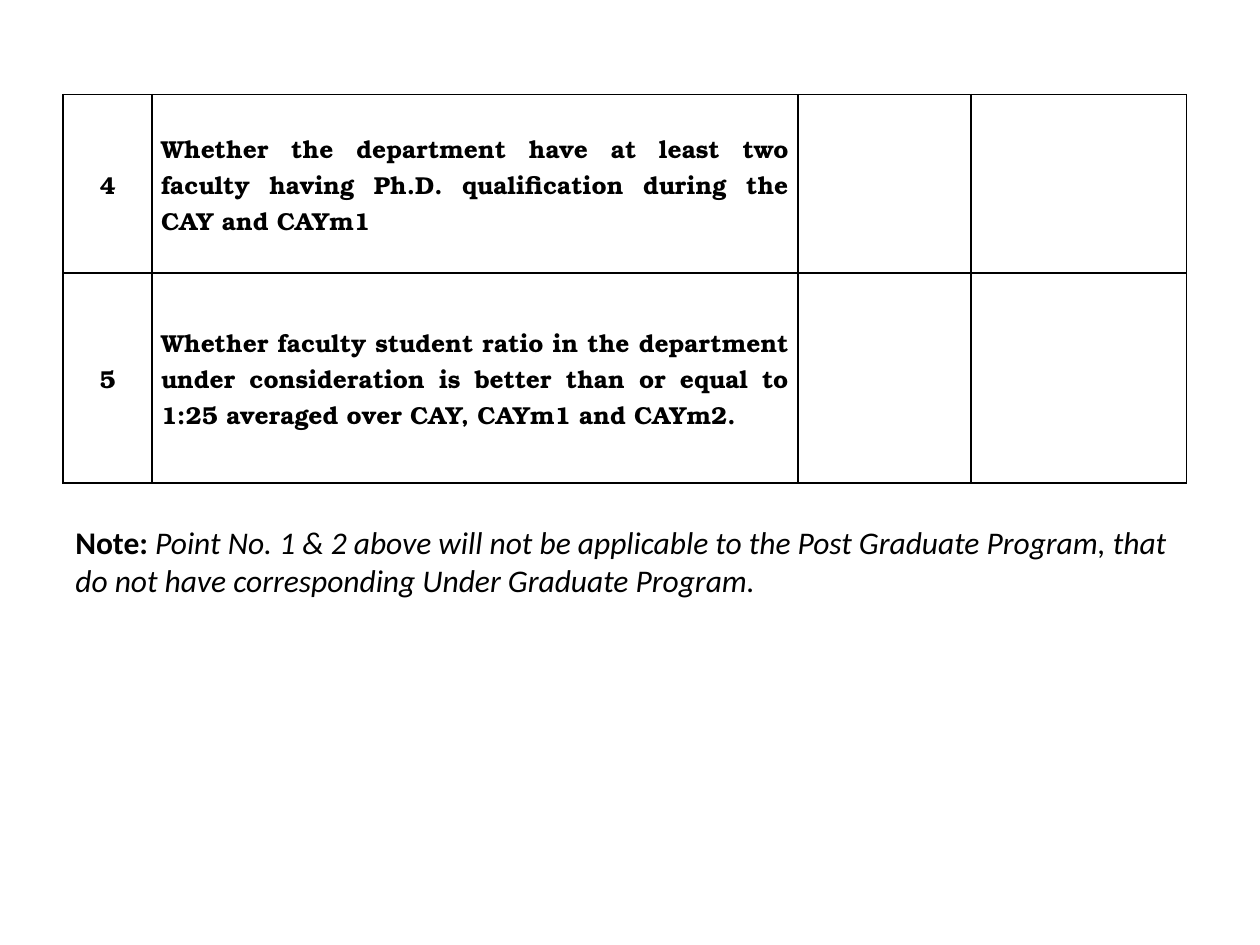
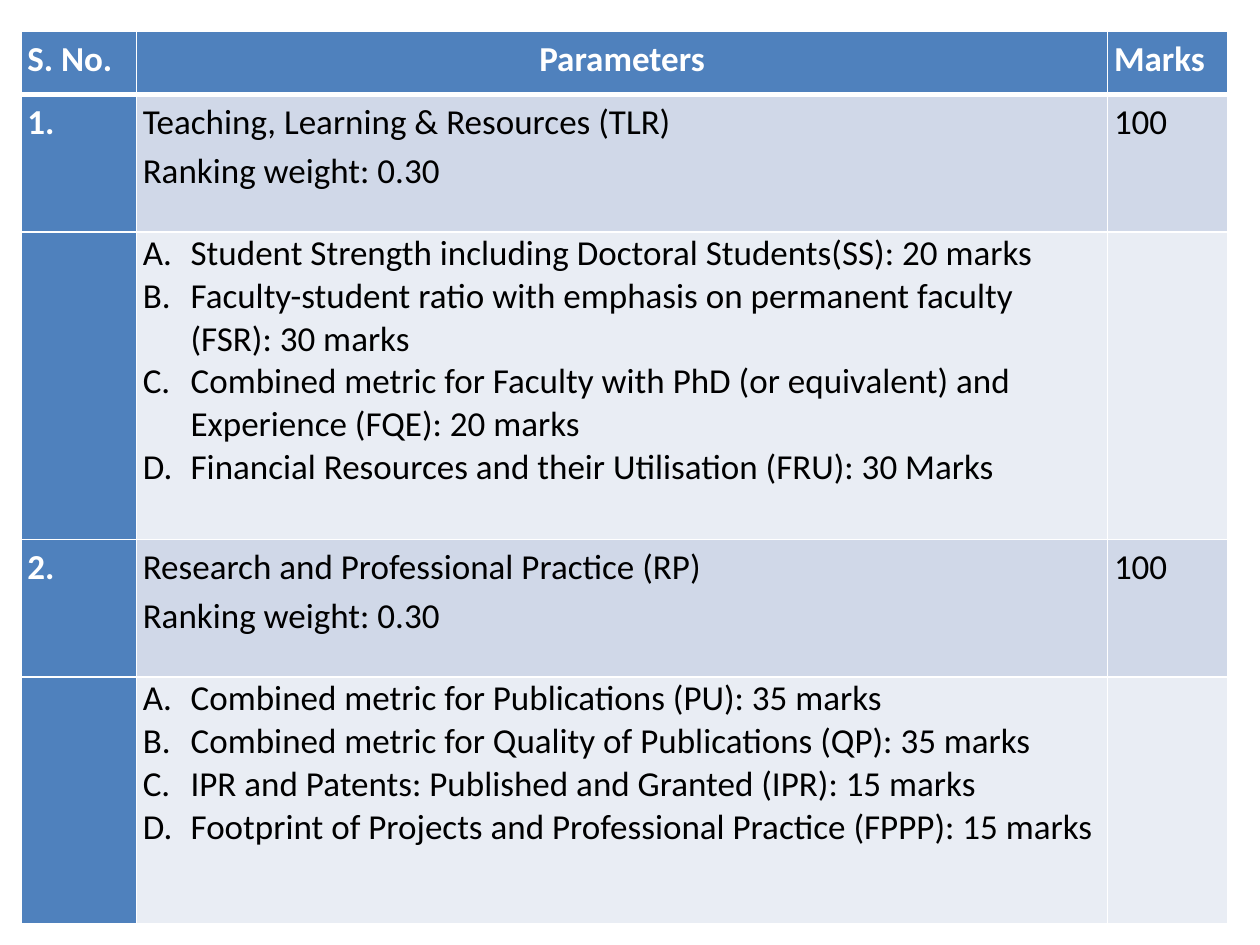
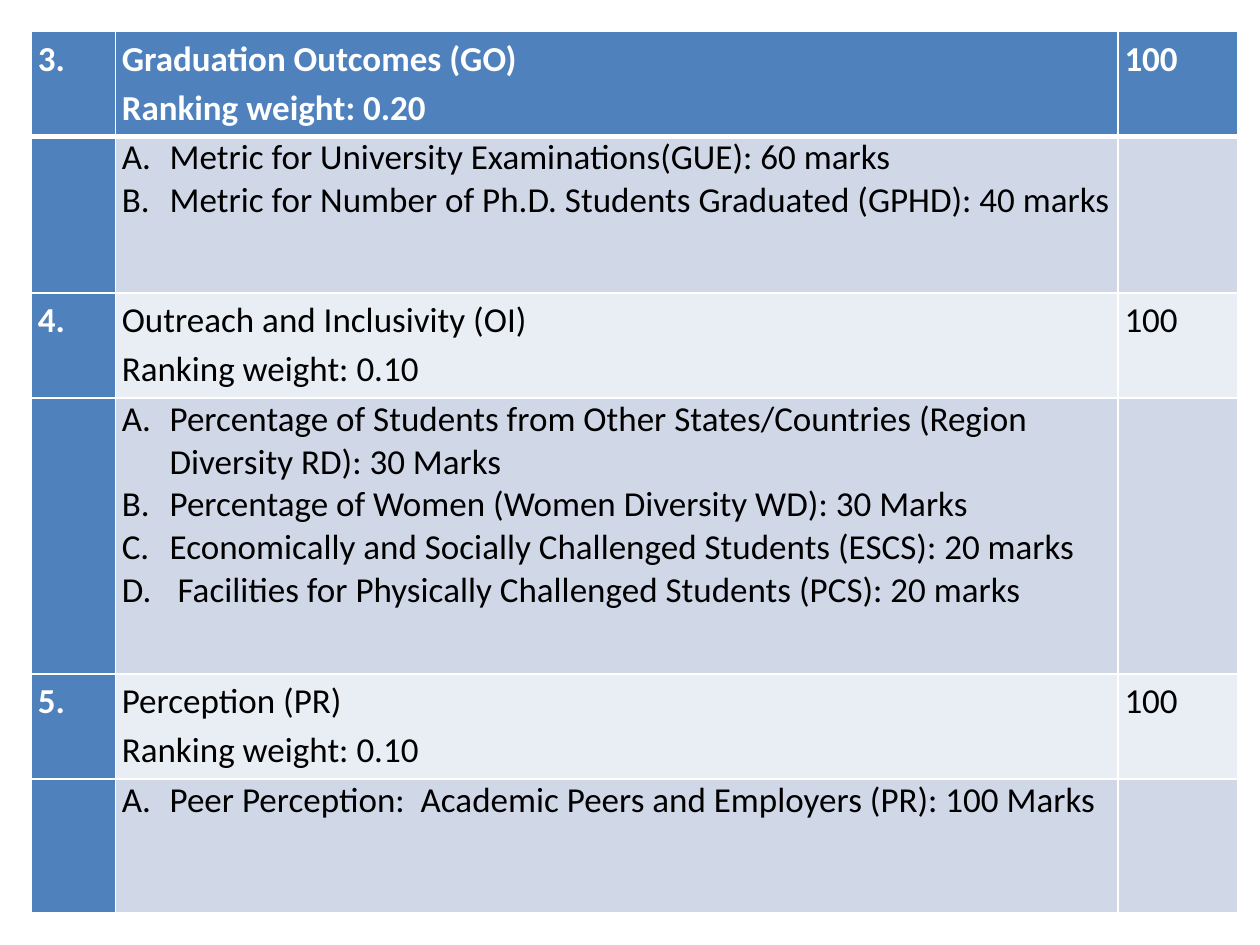
from pptx import Presentation
from pptx.dml.color import RGBColor as Rgb
from pptx.enum.text import MSO_ANCHOR as Anchor, PP_ALIGN as Align
from pptx.oxml.ns import qn
from pptx.util import Inches, Pt
from lxml.etree import SubElement as Sub

INK = {"text": "000000", "white": "FFFFFF", "head": "4F81BD",
       "odd": "D0D8E8", "even": "E9EDF4"}
SANS, SERIF = "Calibri", "TeX Gyre Bonum"
WIDE, HIGH = Inches(10), Inches(7.5)
COL, ROW = WIDE / 120, HIGH / 90

CHECKS = [
    ("4", "Whether the department have at least two faculty having Ph.D. "
          "qualification during the CAY and CAYm1"),
    ("5", "Whether faculty student ratio in the department under consideration "
          "is better than or equal to 1:25 averaged over CAY, CAYm1 and CAYm2."),
]
NOTE = ("Point No. 1 & 2 above will not be applicable to the Post Graduate "
        "Program, that do not have corresponding Under Graduate Program.")

FIRST = [
    ("S. No.", ["Parameters"], "Marks"),
    ("1.", ["Teaching, Learning & Resources (TLR)", "Ranking weight: 0.30"], "100"),
    ("", ["Student Strength including Doctoral Students(SS): 20 marks",
          "Faculty-student ratio with emphasis on permanent faculty (FSR): 30 marks",
          "Combined metric for Faculty with PhD (or equivalent) and Experience "
          "(FQE): 20 marks",
          "Financial Resources and their Utilisation (FRU): 30 Marks"], ""),
    ("2.", ["Research and Professional Practice (RP)", "Ranking weight: 0.30"], "100"),
    ("", ["Combined metric for Publications (PU): 35 marks",
          "Combined metric for Quality of Publications (QP): 35 marks",
          "IPR and Patents: Published and Granted (IPR): 15 marks",
          "Footprint of Projects and Professional Practice (FPPP): 15 marks"], ""),
]
SECOND = [
    ("3.", ["Graduation Outcomes (GO)", "Ranking weight: 0.20"], "100"),
    ("", ["Metric for University Examinations(GUE): 60 marks",
          "Metric for Number of Ph.D. Students Graduated (GPHD): 40 marks"], ""),
    ("4.", ["Outreach and Inclusivity (OI)", "Ranking weight: 0.10"], "100"),
    ("", ["Percentage of Students from Other States/Countries (Region Diversity "
          "RD): 30 Marks",
          "Percentage of Women (Women Diversity WD): 30 Marks",
          "Economically and Socially Challenged Students (ESCS): 20 marks",
          " Facilities for Physically Challenged Students (PCS): 20 marks"], ""),
    ("5.", ["Perception (PR)", "Ranking weight: 0.10"], "100"),
    ("", ["Peer Perception:  Academic Peers and Employers (PR): 100 Marks"], ""),
]


def add_run(para, text, size, face=SANS, ink="text", bold=False, slant=False):
    run = para.add_run()
    run.text = text
    font = run.font
    font.name, font.size = face, Pt(size)
    font.bold, font.italic = bold, slant
    font.color.rgb = Rgb.from_string(INK[ink])


def add_grid(slide, left, top, cols, rows):
    frame = slide.shapes.add_table(
        len(rows), len(cols), round(left * COL), round(top * ROW),
        round(sum(cols) * COL), round(sum(rows) * ROW))
    table = frame.table
    table.first_row = table.horz_banding = False
    for col, size in zip(table.columns, cols):
        col.width = round(size * COL)
    for row, size in zip(table.rows, rows):
        row.height = round(size * ROW)
    return table


def set_edges(cell, ink, top=1, base=1):
    props = cell._tc.get_or_add_tcPr()
    for side, size in (("L", 1), ("R", 1), ("T", top), ("B", base)):
        line = Sub(props, qn("a:ln" + side), w=str(Pt(size)))
        fill = Sub(line, qn("a:solidFill"))
        Sub(fill, qn("a:srgbClr"), val=INK[ink])


def set_pads(cell, side):
    cell.margin_left = cell.margin_right = Inches(side)
    cell.margin_top = cell.margin_bottom = 0


def set_letter(para):
    props = para._p.get_or_add_pPr()
    props.set("marL", str(Inches(0.38)))
    props.set("indent", str(-Inches(0.38)))
    Sub(props, qn("a:buFont"), typeface="+mj-lt")
    Sub(props, qn("a:buAutoNum"), type="alphaUcPeriod")


def add_lines(cell, lines):
    frame = cell.text_frame
    for n, line in enumerate(lines):
        yield (frame.add_paragraph() if n else frame.paragraphs[0]), line


def add_checks(slide):
    table = add_grid(slide, 6, 9, [8.5, 61.5, 16.5, 20.5], [17, 20])
    for r, texts in enumerate(CHECKS):
        for c in range(4):
            cell = table.cell(r, c)
            set_edges(cell, "text")
            cell.fill.background()
            set_pads(cell, 0.07)
            cell.vertical_anchor = Anchor.MIDDLE
            if c < len(texts):
                para = cell.text_frame.paragraphs[0]
                para.alignment = Align.JUSTIFY if c else Align.CENTER
                if c:
                    para.line_spacing = 1.0
                add_run(para, texts[c], 14, SERIF, bold=True)


def add_note(slide):
    box = slide.shapes.add_textbox(
        round(6 * COL), round(49.2 * ROW), round(107 * COL), round(12 * ROW))
    box.text_frame.word_wrap = True
    para = box.text_frame.paragraphs[0]
    add_run(para, "Note: ", 18, bold=True)
    add_run(para, NOTE, 18, slant=True)


def add_marks(slide, data, left, cols, rows):
    table = add_grid(slide, left, 3, cols, rows)
    for r, (num, parts, mark) in enumerate(data):
        for c, lines in enumerate(([num], parts, [mark])):
            cell = table.cell(r, c)
            head = r == 0 or c == 0
            band = "head" if head else "odd" if r % 2 else "even"
            set_edges(cell, "white", top=3 if r == 1 else 1, base=1 if r else 3)
            cell.fill.solid()
            cell.fill.fore_color.rgb = Rgb.from_string(INK[band])
            set_pads(cell, 0.05)
            for para, line in add_lines(cell, filter(None, lines)):
                if not num:
                    set_letter(para)
                else:
                    para.line_spacing = 1.15
                    if len(lines) == 1:
                        para.space_after = Pt(10)
                        if c == 1:
                            para.alignment = Align.CENTER
                add_run(para, line, 20, ink="white" if head else "text", bold=head)


def main():
    deck = Presentation()
    deck.slide_width, deck.slide_height = WIDE, HIGH
    blank = deck.slide_layouts[6]
    slide = deck.slides.add_slide(blank)
    add_note(slide)
    add_checks(slide)
    add_marks(deck.slides.add_slide(blank), FIRST, 2,
              [11, 92.5, 11.4], [6, 13.1, 29.3, 13.1, 23.5])
    add_marks(deck.slides.add_slide(blank), SECOND, 3,
              [8, 95.5, 11.4], [10, 14.9, 10, 26.3, 10, 12.75])
    deck.save("out.pptx")


if __name__ == "__main__":
    main()
